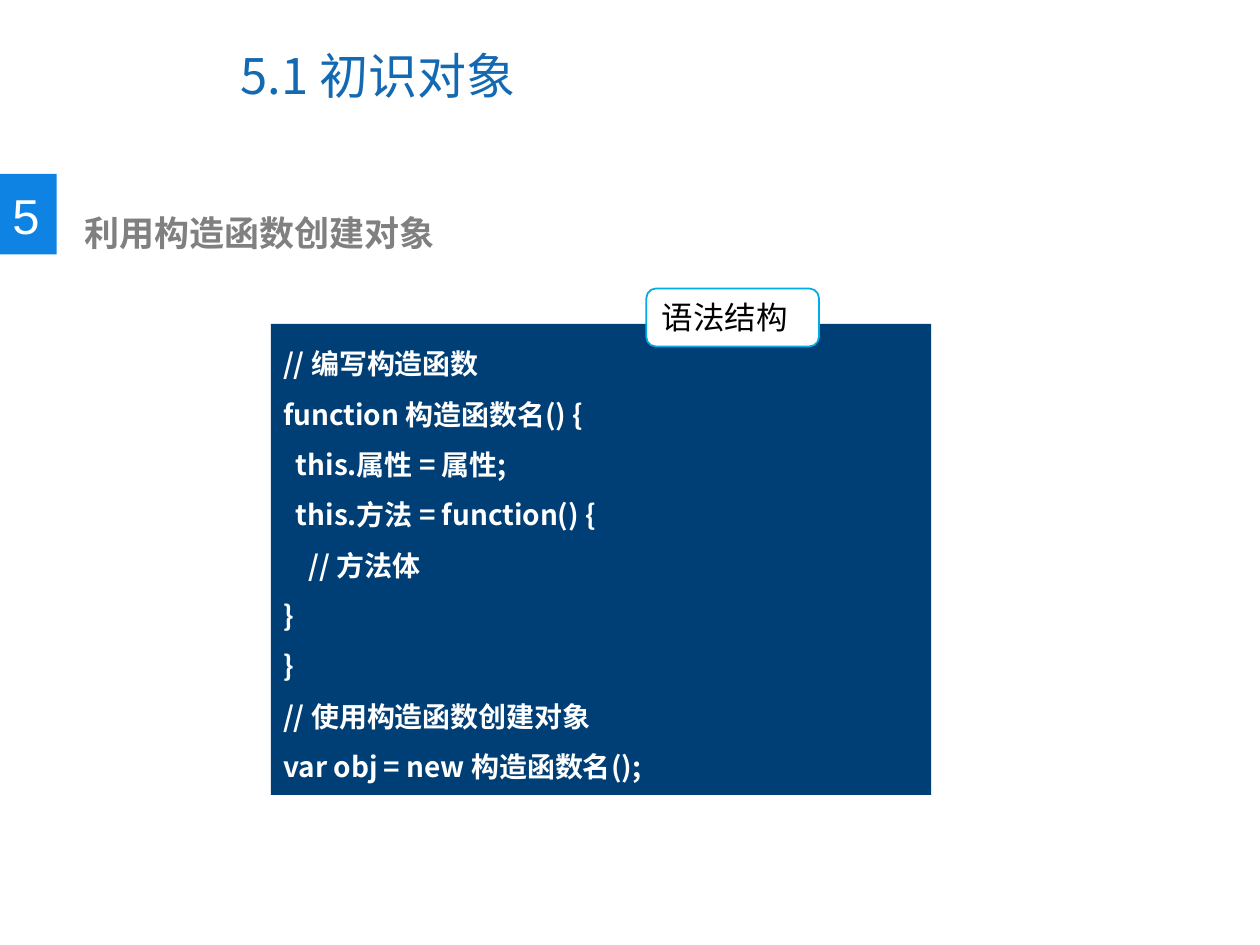
from lxml.etree import SubElement
from pptx import Presentation
from pptx.dml.color import RGBColor
from pptx.enum.shapes import MSO_SHAPE as Shape
from pptx.enum.text import MSO_ANCHOR as Anchor, PP_ALIGN as Align
from pptx.oxml.ns import qn
from pptx.util import Inches, Pt

SANS = "Noto Sans CJK SC"
CODE = """// 编写构造函数
function 构造函数名() {
  this.属性 = 属性;
  this.方法 = function() {
    // 方法体
}
}
// 使用构造函数创建对象
var obj = new 构造函数名();"""


def color(value):
    return RGBColor.from_string(value)


def add_span(para, text, hue, **formats):
    span = para.add_run()
    span.text = text
    span.font.color.rgb = color(hue)
    for name, value in formats.items():
        setattr(span.font, name, value)
    SubElement(span._r.get_or_add_rPr(), qn("a:ea")).set("typeface", SANS)


def set_frame(shape, **formats):
    frame = shape.text_frame
    formats = {"word_wrap": True, "vertical_anchor": Anchor.TOP, **formats}
    for name, value in formats.items():
        setattr(frame, name, value)
    frame.paragraphs[0].alignment = Align.LEFT
    return frame


def add_panel(page, kind, box, fill, line=None):
    panel = page.shapes.add_shape(kind, *map(Inches, box))
    panel.shadow.inherit = False
    panel.fill.solid()
    panel.fill.fore_color.rgb = color(fill)
    if line:
        panel.line.color.rgb = color(line)
        panel.line.width = Pt(1)
    else:
        panel.line.fill.background()
    return panel


def add_text(page, box, **formats):
    return set_frame(page.shapes.add_textbox(*map(Inches, box)), **formats)


def add_title(page, box):
    para = add_text(page, box, vertical_anchor=Anchor.MIDDLE).paragraphs[0]
    add_span(para, "5.1 ", "1369B2", size=Pt(28), name=SANS)
    add_span(para, "初识对象", "1369B2", size=Pt(28), name="Arial")


def add_section(page, box):
    left, top, width, height = box
    add_panel(page, Shape.RECTANGLE, (left, top, 0.45, height), "0F83E3")
    number = add_text(page, (left, top + 0.04, 0.42, 0.57), word_wrap=False)
    add_span(number.paragraphs[0], "5", "FFFFFF", size=Pt(28), name="Arial")
    heading = add_text(page, (left + 0.47, top + 0.25, width - 0.47, 0.44),
                       margin_left=Inches(0.2))
    add_span(heading.paragraphs[0], "利用构造函数创建对象", "808080",
             size=Pt(20), name="Arial", bold=True)


def add_code(page, box):
    left, top, width, height = box
    panel = add_panel(page, Shape.RECTANGLE, box, "003F75")
    frame = set_frame(panel)
    for index, text in enumerate(CODE.split("\n")):
        para = frame.add_paragraph() if index else frame.paragraphs[0]
        para.alignment = Align.LEFT
        para.line_spacing = 1.5
        add_span(para, text, "FFFFFF", size=Pt(16), name=SANS, bold=True)
    label = add_panel(page, Shape.ROUNDED_RECTANGLE,
                      (left + 2.98, top - 0.28, 1.37, 0.46), "FFFFFF", "00ACE6")
    add_span(set_frame(label).paragraphs[0], "语法结构", "000000",
             size=Pt(18), name="Arial")


def main():
    deck = Presentation()
    deck.slide_width, deck.slide_height = Inches(10), Inches(7.5)
    page = deck.slides.add_slide(deck.slide_layouts[6])
    add_title(page, (1.81, 0.17, 5.16, 0.85))
    add_section(page, (0, 1.38, 5.61, 0.64))
    add_code(page, (2.15, 2.57, 5.24, 3.74))
    deck.save("out.pptx")


if __name__ == "__main__":
    main()
